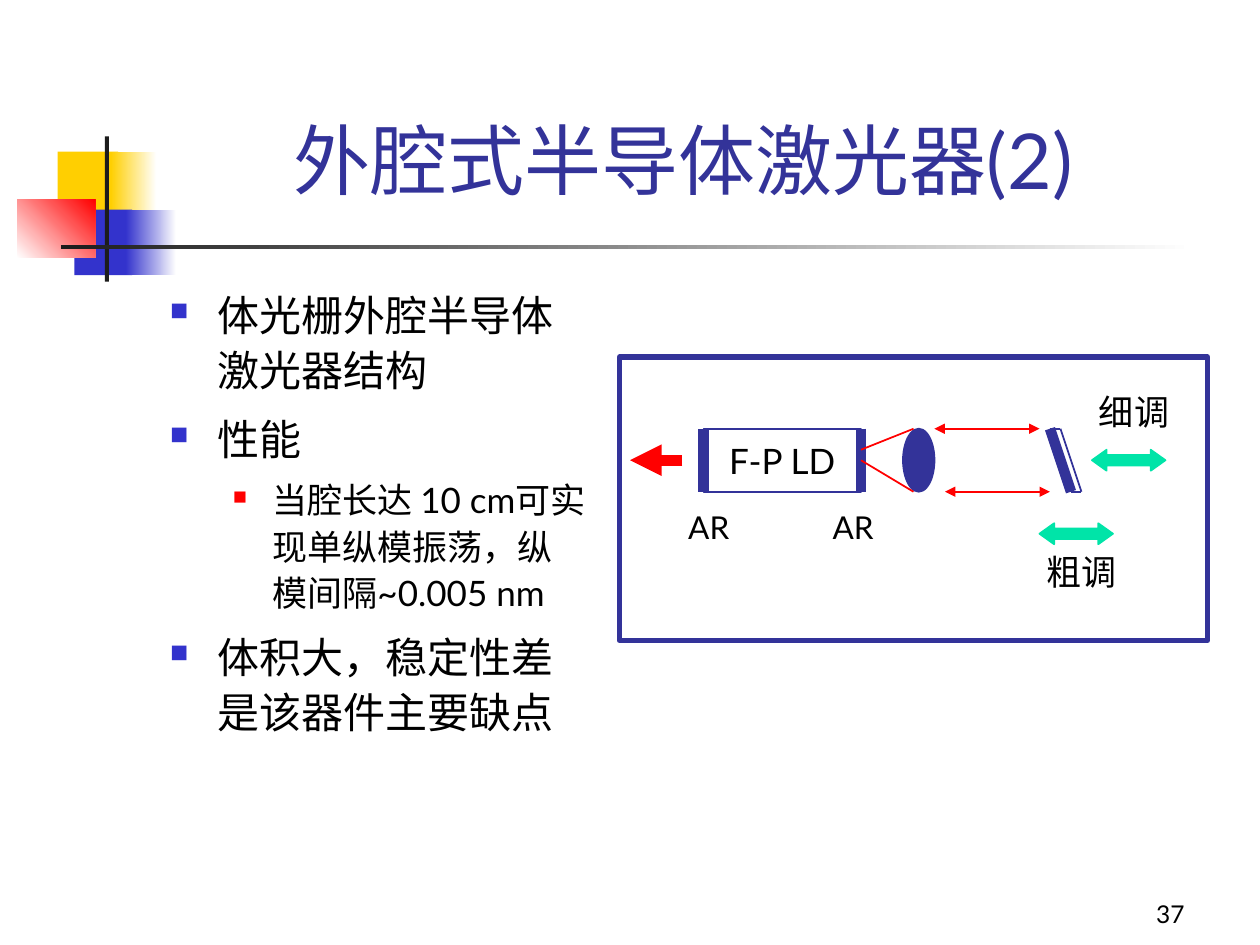
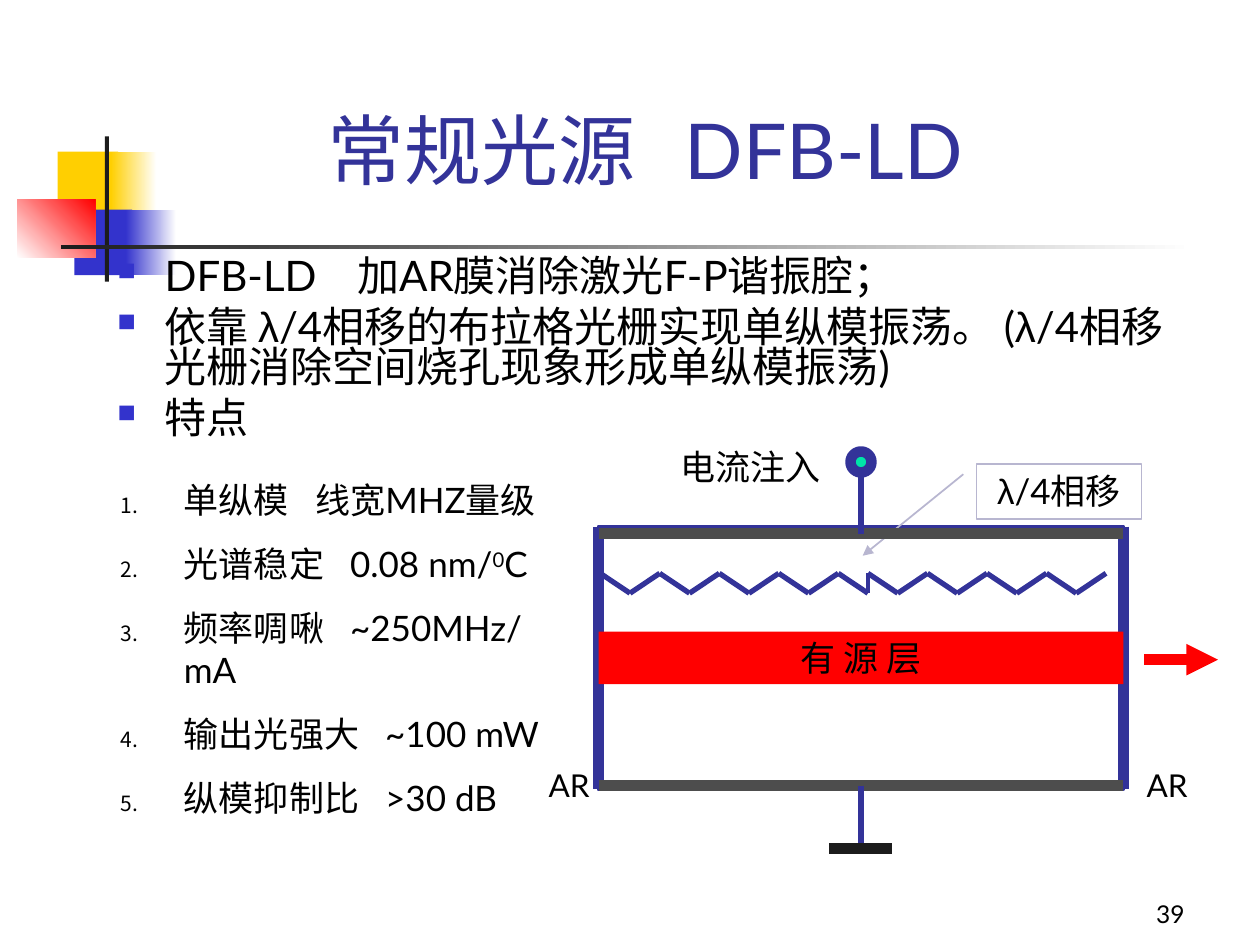
from dataclasses import dataclass
from typing import Any

from pptx import Presentation
from pptx.dml.color import RGBColor
from pptx.enum.shapes import MSO_CONNECTOR, MSO_SHAPE
from pptx.enum.text import MSO_ANCHOR, MSO_AUTO_SIZE, PP_ALIGN
from pptx.oxml.ns import qn
from pptx.oxml.xmlchemy import OxmlElement
from pptx.util import Pt

RECT, OVAL = MSO_SHAPE.RECTANGLE, MSO_SHAPE.OVAL
CALLOUT, DOUBLE_ARROW = MSO_SHAPE.LINE_CALLOUT_1, MSO_SHAPE.LEFT_RIGHT_ARROW
STRAIGHT = MSO_CONNECTOR.STRAIGHT
LEFT, CENTER, RIGHT = PP_ALIGN.LEFT, PP_ALIGN.CENTER, PP_ALIGN.RIGHT
TOP, MIDDLE, BOTTOM = MSO_ANCHOR.TOP, MSO_ANCHOR.MIDDLE, MSO_ANCHOR.BOTTOM

WHITE = RGBColor(0xFF, 0xFF, 0xFF)
BLACK = RGBColor(0x00, 0x00, 0x00)
CHARCOAL = RGBColor(0x1C, 0x1C, 0x1C)
GRAY = RGBColor(0x4D, 0x4D, 0x4D)
YELLOW = RGBColor(0xFF, 0xCF, 0x01)
BLUE = RGBColor(0x33, 0x33, 0xCC)
NAVY = RGBColor(0x33, 0x33, 0x99)
RED = RGBColor(0xFF, 0x00, 0x00)
GREEN = RGBColor(0x00, 0xE4, 0xA8)
LILAC = RGBColor(0xB8, 0xB6, 0xD0)
FONT, GREEK_FONT = "Lato", "Arial"


def add_element(parent, tag, **attributes):
    el = OxmlElement(tag)
    for name, value in attributes.items():
        el.set(name, str(value))
    parent.append(el)
    return el


def set_font(p, size, color=BLACK):
    p.font.name, p.font.size, p.font.color.rgb = FONT, Pt(size), color


def add_runs(p, text):
    """Fill a paragraph; each λ becomes a run in the Greek font."""
    for i, part in enumerate(text.split("λ")):
        if i:
            r = p.add_run()
            r.text, r.font.name = "λ", GREEK_FONT
        if part:
            p.add_run().text = part


def add_arrowheads(sp, *ends):
    ln = sp._element.spPr.find(qn("a:ln"))
    for end in ends:
        add_element(ln, f"a:{end}", type="triangle")


def format_list(p, indent, hanging, color, percent, bullet, tab=None):
    """Set a hanging bullet; bullet is a character, or None for numbering."""
    pPr = p._p.get_or_add_pPr()
    pPr.set("marL", str(Pt(indent)))
    pPr.set("indent", str(-Pt(hanging)))
    add_element(add_element(pPr, "a:buClr"), "a:srgbClr", val=color)
    add_element(pPr, "a:buSzPct", val=percent * 1000)
    if bullet:
        add_element(pPr, "a:buChar", char=bullet)
    else:
        add_element(pPr, "a:buAutoNum", type="arabicPeriod")
    if tab:
        add_tab(p, tab)


def add_tab(p, position):
    tabs = add_element(p._p.get_or_add_pPr(), "a:tabLst")
    add_element(tabs, "a:tab", pos=Pt(position), algn="l")


@dataclass
class Region:
    """Part of a slide whose contents are placed from its top left corner."""
    slide: Any
    left: float
    top: float
    width: float
    height: float

    def shape(self, kind, x, y, w, h, fill=None, line=None, weight=1):
        sp = self.slide.shapes.add_shape(
            kind, Pt(self.left + x), Pt(self.top + y), Pt(w), Pt(h))
        sp.shadow.inherit = False
        if fill is None:
            sp.fill.background()
        else:
            sp.fill.solid()
            sp.fill.fore_color.rgb = fill
        if line is None:
            sp.line.fill.background()
        else:
            sp.line.color.rgb, sp.line.width = line, Pt(weight)
        return sp

    def fade(self, x, y, w, h, start, end=WHITE, angle=0):
        sp = self.shape(RECT, x, y, w, h)
        sp.fill.gradient()
        sp.fill.gradient_angle = angle
        for stop, color in zip(sp.fill.gradient_stops, (start, end)):
            stop.color.rgb = color

    def line(self, x1, y1, x2, y2, color=NAVY, weight=1, ends=()):
        c = self.slide.shapes.add_connector(
            STRAIGHT, Pt(self.left + x1), Pt(self.top + y1),
            Pt(self.left + x2), Pt(self.top + y2))
        c.line.color.rgb, c.line.width = color, Pt(weight)
        add_element(c._element.spPr, "a:effectLst")
        add_arrowheads(c, *ends)

    def text_frame(self, x, y, w, h):
        box = self.slide.shapes.add_textbox(
            Pt(self.left + x), Pt(self.top + y), Pt(w), Pt(h))
        box.text_frame.word_wrap = True
        return box.text_frame

    def label(self, x, y, w, h, text, size=20):
        write(self.text_frame(x, y, w, h), text, size)


def write(tf, text, size, align=CENTER, anchor=TOP, wrap=True):
    tf.word_wrap, tf.vertical_anchor = wrap, anchor
    p = tf.paragraphs[0]
    p.alignment = align
    add_runs(p, text)
    set_font(p, size)


def next_paragraph(tf, space_before):
    """Return the empty first paragraph, or a new one with space before it."""
    if not tf.paragraphs[0].runs:
        return tf.paragraphs[0]
    p = tf.add_paragraph()
    p.space_before = Pt(space_before)
    return p


def add_decoration(region):
    """Coloured squares and the cross of bars behind every title."""
    region.shape(RECT, 23, 8.6, 34.5, 37.4, YELLOW)
    region.fade(53.4, 8.6, 26, 37.4, YELLOW)
    region.shape(RECT, 32.5, 41.8, 33, 37.4, BLUE)
    region.fade(62, 41.8, 28.8, 37.4, BLUE)
    region.fade(0, 36, 44.4, 33.4, WHITE, RED, 45)
    region.shape(RECT, 49.9, 0, 2.4, 83, CHARCOAL)
    region.fade(24.6, 62, 648, 2.6, CHARCOAL)


def add_title_slide(prs, title, box, number, align=CENTER, tab=None):
    slide = prs.slides.add_slide(prs.slide_layouts[5])
    add_decoration(Region(slide, 10, 78, 673, 83))
    sp = slide.shapes.title
    sp.left, sp.top, sp.width, sp.height = map(Pt, box)
    tf = sp.text_frame
    tf.auto_size, tf.vertical_anchor = MSO_AUTO_SIZE.NONE, BOTTOM
    p = tf.paragraphs[0]
    p.alignment = align
    p.add_run().text = title
    if tab:
        add_tab(p, tab)
    set_font(p, 44, NAVY)
    footer = Region(slide, 534, 498, 150, 36)
    write(footer.text_frame(0, 0, footer.width, footer.height),
          number, 14, RIGHT, BOTTOM)
    return slide


def add_bullets(region, items, spacing, before, tab=None):
    """Items are (level, text) pairs."""
    styles = [(27, 27, BLUE, 60, 24, before), (58.5, 22.5, RED, 55, 20, 6.2)]
    tf = region.text_frame(0, 0, region.width, region.height)
    for level, text in items:
        indent, hanging, color, percent, size, gap = styles[level]
        p = next_paragraph(tf, gap)
        p.level, p.line_spacing = level, spacing
        add_runs(p, text)
        format_list(p, indent, hanging, color, percent, "■",
                    tab if "\t" in text else None)
        set_font(p, size)


def add_features(region, features):
    """Numbered list; each value follows its name after a small gap."""
    size, indent, gap = 20, 36, 15
    tf = region.text_frame(0, 0, region.width, region.height)
    for name, value in features:
        p = next_paragraph(tf, 12.5)
        p.add_run().text = f"{name}\t"
        base, mark, unit = value.partition("/⁰")
        if mark:
            p.add_run().text = base + "/"
            r = p.add_run()
            r.text = "0"
            r._r.get_or_add_rPr().set("baseline", "30000")
            p.add_run().text = unit
        else:
            p.add_run().text = value
        format_list(p, indent, indent, BLACK, 60, None,
                    indent + size * len(name) + gap)
        set_font(p, size)


def draw_external_cavity(region):
    top, middle, bottom = 41, 59, 77
    chip_left, chip_right = 48, 138
    chip = region.shape(RECT, chip_left, top, chip_right - chip_left,
                        bottom - top, line=NAVY)
    write(chip.text_frame, "F-P LD", 20, anchor=MIDDLE, wrap=False)
    for x in (chip_left, chip_right):
        region.line(x, top, x, bottom, weight=6)
    region.shape(OVAL, 162, top, 18, bottom - top, NAVY, NAVY)

    # grating
    region.line(246, top, 258, bottom, weight=6)
    region.line(252, top, 264, bottom)
    region.line(246, top, 252, top)
    region.line(258, bottom, 264, bottom)

    # light
    for x, y in ((180, top), (186, bottom)):
        region.line(x, y, x + 60, y, RED, ends=("headEnd", "tailEnd"))
    region.line(chip_right, 53, 168, top, RED)
    region.line(chip_right, middle, 168, bottom, RED)
    region.line(36, middle, 6, middle, RED, 6, ("tailEnd",))

    for x, y in ((240, 95), (270, 53)):
        arrow = region.shape(DOUBLE_ARROW, x, y, 42, 12, GREEN, GREEN)
        arrow.adjustments[1] = 0.7
    region.label(234, 107, 60, 32, "粗调")
    region.label(264, 15.6, 60, 32, "细调")
    for center in (51, 133.5):
        region.label(center - 30, 82.5, 60, 29, "AR", 18)
    region.shape(RECT, 0, 0, region.width, region.height, line=NAVY, weight=3)


def draw_grating(region, x, high, low, step):
    """Zigzag with a quarter-wave jump between its two halves."""
    for count in (9, 8):
        for i in range(count):
            y1, y2 = (low, high) if i % 2 else (high, low)
            region.line(x, y1, x + step, y2, weight=3)
            x += step
        if count == 9:
            region.line(x, high, x, low, weight=2.25)


def draw_dfb(region):
    w, h = region.width, region.height
    middle, upper, lower, ground = w / 2, 4, h - 2, h + 34
    region.shape(RECT, 0, 0, w, h, line=NAVY, weight=2.25)
    for x in (0, w):
        region.line(x, 0, x, h, weight=6)
    active = region.shape(RECT, 0, 60, w, 30, RED)
    write(active.text_frame, "有 源 层", 20, anchor=MIDDLE, wrap=False)
    for x in (-49.7, 292):
        region.label(x, 133, 66, 29, "AR", 18)

    callout = region.shape(CALLOUT, 216, -36, 94.3, 31.7, line=LILAC)
    for i, value in enumerate((0.19, -0.08, 1.66, -0.69)):
        callout.adjustments[i] = value
    add_arrowheads(callout, "tailEnd")
    write(callout.text_frame, "λ/4相移", 20)

    # electrodes and current
    for y in (lower, upper):
        region.line(0, y, w, y, GRAY, 6)
    region.line(middle, lower, middle, ground, weight=3)
    region.line(middle - 18, ground, middle + 18, ground, CHARCOAL, 6)
    region.line(middle, -32, middle, upper, weight=3)
    region.shape(OVAL, middle - 6, -43, 12, 12, GREEN, NAVY, 6)
    region.label(36, -50, 102, 32, "电流注入")
    region.line(312, 76, 354, 76, RED, 6, ("tailEnd",))
    draw_grating(region, 1, 26.6, 38, 17)


def main():
    prs = Presentation()
    prs.slide_width, prs.slide_height = Pt(720), Pt(540)

    slide = add_title_slide(prs, "外腔式半导体激光器(2)",
                            (132.5, 60, 515.5, 60.5), "37")
    add_bullets(Region(slide, 90, 159, 252, 291), [
        (0, "体光栅外腔半导体激光器结构"),
        (0, "性能"),
        (1, "当腔长达 10 cm可实现单纵模振荡，纵模间隔~0.005 nm"),
        (0, "体积大，稳定性差是该器件主要缺点"),
    ], 1.1, 7.5)
    draw_external_cavity(Region(slide, 354, 204, 336, 162))

    slide = add_title_slide(prs, "常规光源\tDFB-LD",
                            (180, 60, 402, 54.7), "39", LEFT, 204)
    add_bullets(Region(slide, 60, 144.7, 621.4, 120), [
        (0, "DFB-LD\t加AR膜消除激光F-P谐振腔；"),
        (0, "依靠 λ/4相移的布拉格光栅实现单纵模振荡。 "
            "(λ/4相移光栅消除空间烧孔现象形成单纵模振荡)"),
        (0, "特点"),
    ], 0.8, 6, 137)
    draw_dfb(Region(slide, 342, 301, 300, 150))
    add_features(Region(slide, 62, 270, 270, 201.6), [
        ("单纵模", "线宽MHZ量级"),
        ("光谱稳定", "0.08 nm/⁰C"),
        ("频率啁啾", "~250MHz/mA"),
        ("输出光强大", "~100 mW"),
        ("纵模抑制比", ">30 dB"),
    ])
    prs.save("out.pptx")


if __name__ == "__main__":
    main()
